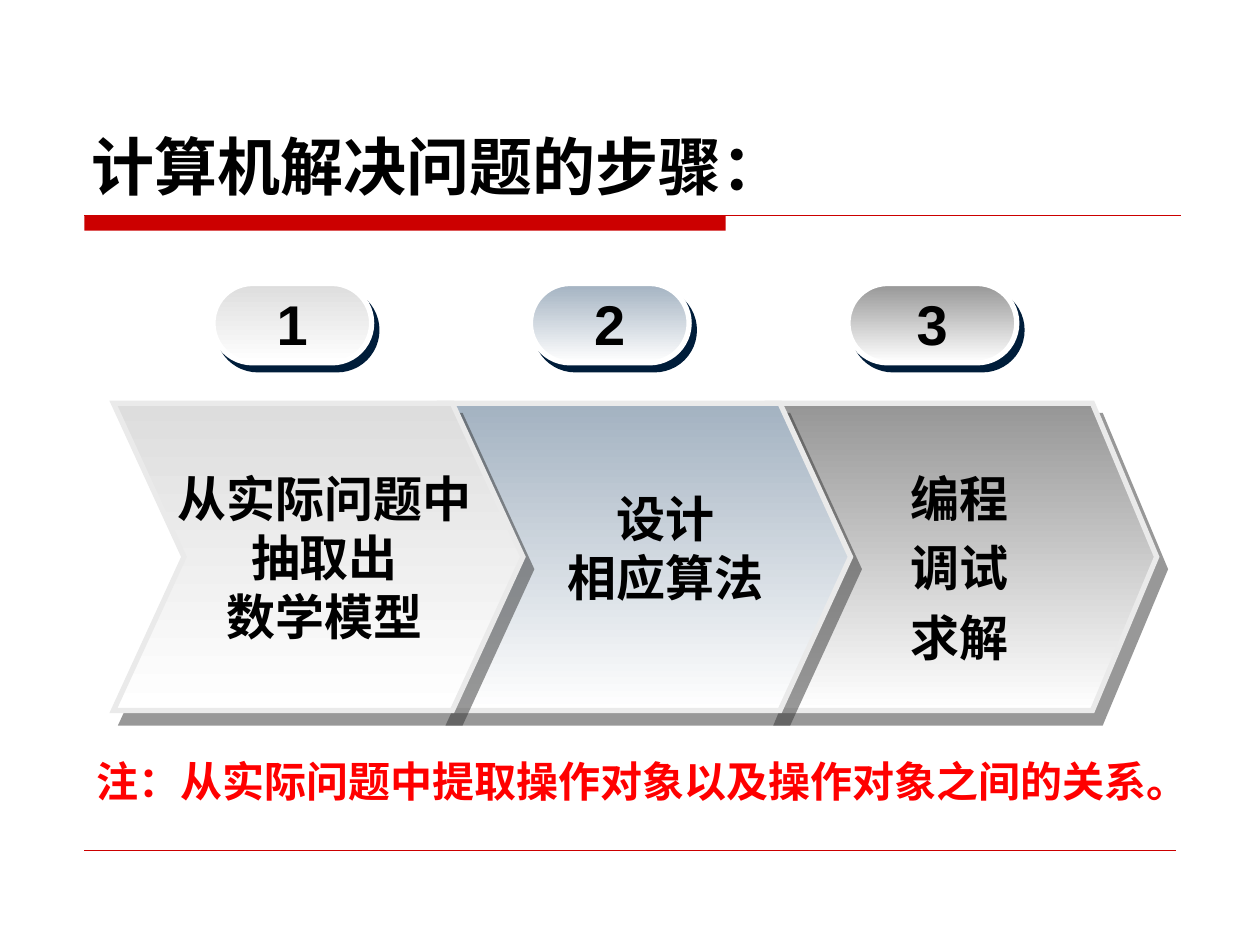
from typing import NamedTuple

from lxml import etree
from pptx import Presentation
from pptx import util as u
from pptx.dml.color import RGBColor
from pptx.enum import shapes, text
from pptx.oxml import ns

Inches = u.Inches
RED, BLACK, WHITE = "CC0000", "000000", "FFFFFF"
CHEVRON_TOP, CHEVRON_HEIGHT = 3.2, 2.44
PILL_TOP, PILL_HEIGHT = 2.25, 0.63


class Shadow(NamedTuple):
    color: str
    alpha: int
    distance: float
    angle: int


class Step(NamedTuple):
    number: str
    color: str
    chevron_left: float
    chevron_width: float
    notch: float
    pill_left: float
    pill_width: float


class Label(NamedTuple):
    lines: list[str]
    left: float
    top: float
    width: float
    height: float
    align: text.PP_ALIGN


CHEVRON_SHADOW = Shadow("333333", 50, 8.6, 55)
PILL_SHADOW = Shadow("001D3A", 100, 5, 53)
STEPS = [
    Step("1", "DDDDDD", 0.9, 3.25, 0.56, 1.69, 1.26),
    Step("2", "A3B2C1", 3.5, 3.25, 0.56, 4.21, 1.26),
    Step("3", "969696", 6.1, 3.08, 0.51, 6.73, 1.34),
]
LABELS = [
    Label(["从实际问题中", "抽取出", "数学模型"], 1.3, 3.67, 2.55, 1.5, text.PP_ALIGN.CENTER),
    Label(["设计", "相应算法"], 3.98, 3.83, 2.6, 1.04, text.PP_ALIGN.CENTER),
] + [
    Label([line], 7.13, 3.67 + 0.55 * row, 1.65, 0.57, text.PP_ALIGN.LEFT)
    for row, line in enumerate(["编程", "调试", "求解"])
]


def rgb(color: str) -> RGBColor:
    return RGBColor.from_string(color)


def add_child(parent, tag: str, **attributes: str):
    return etree.SubElement(parent, ns.qn(tag), attributes)


def write(frame, lines: list[str], *, size: float, font: str = "Arial",
          color: str = BLACK, align=text.PP_ALIGN.LEFT,
          anchor=text.MSO_ANCHOR.TOP, wrap: bool = True) -> None:
    frame.word_wrap = wrap
    frame.vertical_anchor = anchor
    for index, line in enumerate(lines):
        para = frame.add_paragraph() if index else frame.paragraphs[0]
        para.alignment = align
        span = para.add_run()
        span.text = line
        span.font.name = font
        span.font.size = u.Pt(size)
        span.font.bold = True
        span.font.color.rgb = rgb(color)


def add_text(page, lines: list[str], left: float, top: float, width: float,
             height: float, **style) -> None:
    box = page.shapes.add_textbox(Inches(left), Inches(top), Inches(width), Inches(height))
    write(box.text_frame, lines, **style)


def add_rule(page, left: float, right: float, top: float, weight: float) -> None:
    rule = page.shapes.add_connector(
        shapes.MSO_CONNECTOR.STRAIGHT, Inches(left), Inches(top), Inches(right), Inches(top))
    rule.line.color.rgb = rgb(RED)
    rule.line.width = u.Pt(weight)
    add_child(rule.element.spPr, "a:effectLst")


def style_shape(shape, color: str, edge: str, shadow: Shadow) -> None:
    """Fade the fill down to white, outline it and cast a hard shadow."""
    shape.fill.gradient()
    shape.fill.gradient_angle = 270
    for stop, stop_color in zip(shape.fill.gradient_stops, (color, WHITE)):
        stop.color.rgb = rgb(stop_color)
    shape.line.color.rgb = rgb(edge)
    shape.line.width = u.Pt(3)
    add_child(shape.line._get_or_add_ln(), "a:miter", lim="800000")
    shape.shadow.inherit = False
    effects = shape.element.spPr.find(ns.qn("a:effectLst"))
    outer = add_child(effects, "a:outerShdw", blurRad="0", dist=str(u.Pt(shadow.distance)),
                      dir=str(shadow.angle * 60000), algn="ctr", rotWithShape="0")
    tint = add_child(outer, "a:srgbClr", val=shadow.color)
    add_child(tint, "a:alpha", val=str(shadow.alpha * 1000))


def add_chevron(page, step: Step) -> None:
    left, right = step.chevron_left, step.chevron_left + step.chevron_width
    middle, bottom = CHEVRON_TOP + CHEVRON_HEIGHT / 2, CHEVRON_TOP + CHEVRON_HEIGHT
    corners = [(right - step.notch, CHEVRON_TOP), (right, middle),
               (right - step.notch, bottom), (left, bottom), (left + step.notch, middle)]
    outline = page.shapes.build_freeform(Inches(left), Inches(CHEVRON_TOP))
    outline.add_line_segments([(Inches(x), Inches(y)) for x, y in corners], close=True)
    style_shape(outline.convert_to_shape(), step.color, "EAEAEA", CHEVRON_SHADOW)


def add_pill(page, step: Step) -> None:
    pill = page.shapes.add_shape(
        shapes.MSO_SHAPE.ROUNDED_RECTANGLE, Inches(step.pill_left), Inches(PILL_TOP),
        Inches(step.pill_width), Inches(PILL_HEIGHT))
    pill.adjustments[0] = 0.5
    style_shape(pill, step.color, WHITE, PILL_SHADOW)
    write(pill.text_frame, [step.number], size=32, align=text.PP_ALIGN.CENTER,
          anchor=text.MSO_ANCHOR.MIDDLE, wrap=False)


def main() -> None:
    deck = Presentation()
    deck.slide_width, deck.slide_height = Inches(10), Inches(7.5)
    page = deck.slides.add_slide(deck.slide_layouts[6])

    # Title bar and footer rule
    bar = page.shapes.add_shape(
        shapes.MSO_SHAPE.RECTANGLE, Inches(0.67), Inches(1.71), Inches(5.09), Inches(0.12))
    bar.fill.solid()
    bar.fill.fore_color.rgb = rgb(RED)
    bar.line.fill.background()
    bar.shadow.inherit = False
    add_rule(page, 0.67, 9.37, 1.71, 0.75)
    add_rule(page, 0.67, 9.33, 6.75, 0.25)

    # Title
    add_text(page, ["计算机解决问题的步骤："], 0.63, 0.33, 8.75, 1.33, size=36,
             font="DejaVu Sans", anchor=text.MSO_ANCHOR.BOTTOM)

    # Chevrons, each overlapping the next one, then the numbers
    for step in reversed(STEPS):
        add_chevron(page, step)
    for step in STEPS:
        add_pill(page, step)

    # Step labels and note
    for label in LABELS:
        add_text(page, label.lines, label.left, label.top, label.width, label.height,
                 size=28, align=label.align)
    add_text(page, ["注：从实际问题中提取操作对象以及操作对象之间的关系。"],
             0.67, 5.95, 9.1, 0.5, size=24, font="DejaVu Sans", color="FF0000")

    deck.save("out.pptx")


if __name__ == "__main__":
    main()
